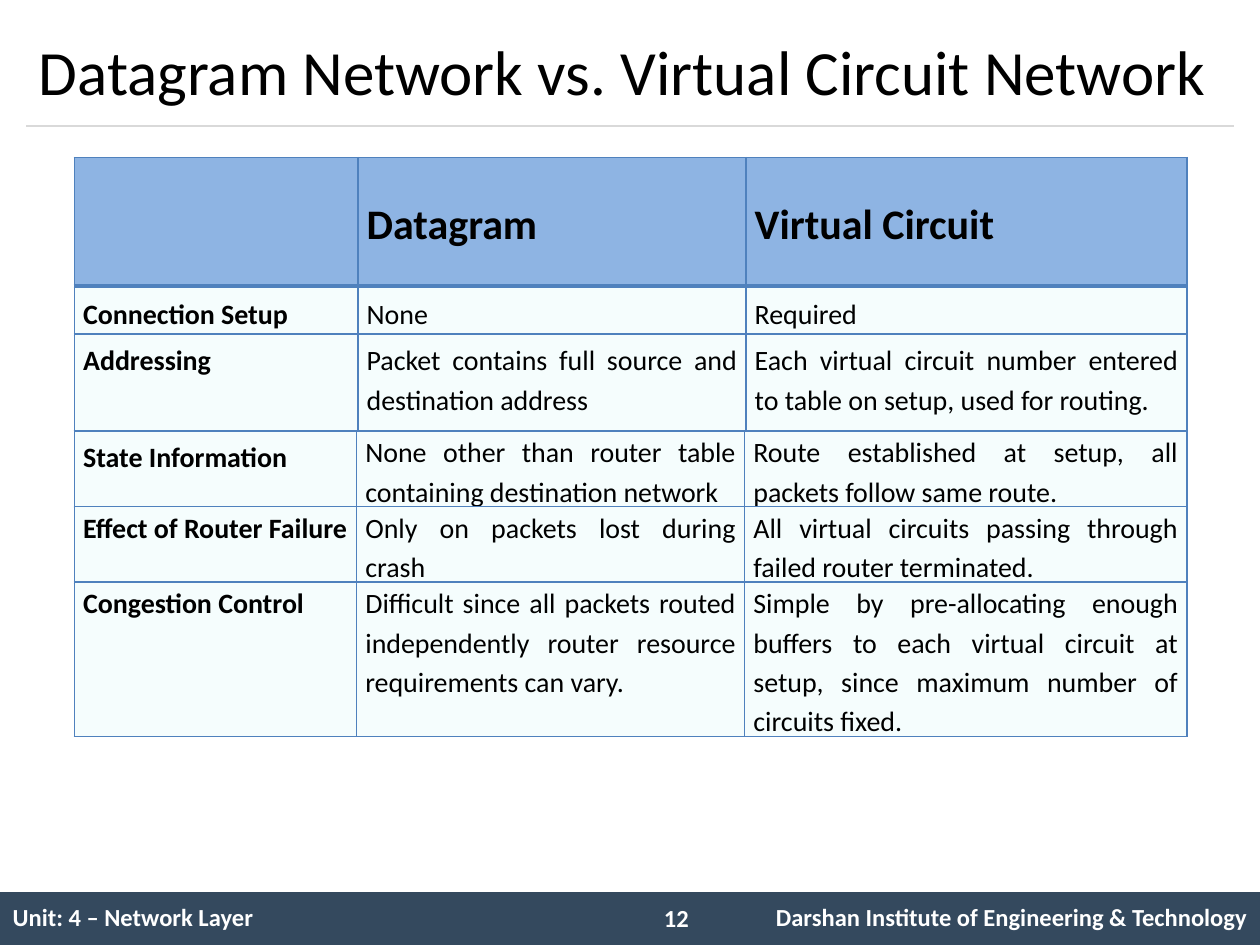
from dataclasses import dataclass

from lxml import etree
from pptx import Presentation
from pptx import util as u
from pptx.dml.color import RGBColor
from pptx.enum import shapes, text
from pptx.oxml.ns import qn

PX = 9144  # 100 px to the inch


@dataclass(frozen=True)
class Theme:
    font: str = "Calibri"
    ink: str = "000000"
    paper: str = "FFFFFF"
    bar: str = "34495E"
    rule: str = "D9D9D9"
    border: str = "4F81BD"
    header: str = "8EB4E3"
    body: str = "F5FDFD"
    title_pt: int = 36
    header_pt: int = 24
    body_pt: int = 16
    footer_pt: int = 14


T = Theme()
LEFT, JUSTIFY, RIGHT = text.PP_ALIGN.LEFT, text.PP_ALIGN.JUSTIFY, text.PP_ALIGN.RIGHT
MIDDLE, TOP = text.MSO_ANCHOR.MIDDLE, text.MSO_ANCHOR.TOP

HEADINGS = ["", "Datagram", "Virtual Circuit"]
# top, height, first column, alignment, vertical insets of label and details, texts
ROWS = [
    (228, 37, 225, LEFT, 4, 4,
     ["Connection Setup", "None", "Required"]),
    (265, 77, 225, JUSTIFY, 4, 4,
     ["Addressing",
      "Packet contains full source and destination address",
      "Each virtual circuit number entered to table on setup, used for routing."]),
    (342, 60, 224, JUSTIFY, 4, 0,
     ["State Information",
      "None other than router table containing destination network",
      "Route established at setup, all packets follow same route."]),
    (402, 60, 224, JUSTIFY, 0, 0,
     ["Effect of Router Failure",
      "Only on packets lost during crash",
      "All virtual circuits passing through failed router terminated."]),
    (462, 121, 224, JUSTIFY, 0, 0,
     ["Congestion Control",
      "Difficult since all packets routed independently router resource "
      "requirements can vary.",
      "Simple by pre-allocating enough buffers to each virtual circuit at setup, "
      "since maximum number of circuits fixed."]),
]


def px(*lengths):
    return [u.Emu(n * PX) for n in lengths]


def rgb(value):
    return RGBColor.from_string(value)


def write(tf, words, size, color, bold=False, align=LEFT, spacing=None):
    p = tf.paragraphs[0]
    p.text = words
    p.alignment = align
    p.line_spacing = spacing
    p.font.name, p.font.size, p.font.bold = T.font, u.Pt(size), bold
    p.font.color.rgb = rgb(color)


def add_text(slide, box, words, size, color, bold=False, wrap=True, anchor=TOP):
    tf = slide.shapes.add_textbox(*px(*box)).text_frame
    tf.word_wrap = wrap
    tf.vertical_anchor = anchor
    write(tf, words, size, color, bold)


def set_borders(cell, color=None, bottom=1):
    """Line all four sides of a cell, or clear them when no colour is given."""
    tcPr = cell._tc.get_or_add_tcPr()
    for side, width in zip("LRTB", (1, 1, 1, bottom)):
        ln = etree.SubElement(tcPr, qn(f"a:ln{side}"), w=str(u.Pt(width)))
        if color:
            fill = etree.SubElement(ln, qn("a:solidFill"))
            etree.SubElement(fill, qn("a:srgbClr"), val=color)
        else:
            etree.SubElement(ln, qn("a:noFill"))


def add_row(slide, box, widths):
    """Add an unstyled table of one row and return its cells."""
    table = slide.shapes.add_table(1, len(widths), *px(*box)).table
    table.first_row = table.horz_banding = False
    for column, width in zip(table.columns, px(*widths)):
        column.width = width
    return list(table.rows[0].cells)


def add_title(slide, box):
    left, top, width, height = box
    add_text(slide, box, "Datagram Network vs. Virtual Circuit Network",
             T.title_pt, T.ink, anchor=MIDDLE)
    bottom = top + height
    rule = slide.shapes.add_connector(
        shapes.MSO_CONNECTOR.STRAIGHT, *px(left, bottom, left + width, bottom))
    rule.line.color.rgb = rgb(T.rule)
    rule.line.width = u.Pt(0.75)
    etree.SubElement(rule._element.spPr, qn("a:effectLst"))


def add_footer(slide, box):
    left, top, width, height = box
    bar = slide.shapes.add_shape(shapes.MSO_SHAPE.RECTANGLE, *px(*box))
    bar.shadow.inherit = False
    bar.fill.solid()
    bar.fill.fore_color.rgb = rgb(T.bar)
    bar.line.fill.background()

    cells = add_row(slide, box, (508, 67, width - 575))
    labels = ["Unit: 4 – Network Layer", "",
              "Darshan Institute of Engineering & Technology"]
    for cell, label, align in zip(cells, labels, (LEFT, LEFT, RIGHT)):
        set_borders(cell)
        cell.fill.background()
        cell.vertical_anchor = MIDDLE
        write(cell.text_frame, label, T.footer_pt, T.paper, True, align)
    add_text(slide, (left + 517, top + 4, 58, 34), "12",
             T.footer_pt, T.paper, bold=True, wrap=False)


def fill_cell(cell, words, fill, inset, size, bold, align, anchor, bottom=1):
    set_borders(cell, T.border, bottom)
    cell.fill.solid()
    cell.fill.fore_color.rgb = rgb(fill)
    cell.margin_left, cell.margin_right = px(7, 7)
    cell.margin_top, cell.margin_bottom = px(inset, inset)
    cell.vertical_anchor = anchor
    write(cell.text_frame, words, size, T.ink, bold, align, 1.15)


def add_comparison(slide, box):
    """Stack one table per row, since the column edges differ between rows."""
    left, top, width, header_height = box
    cells = add_row(slide, box, (225, 308, width - 533))
    for cell, words in zip(cells, HEADINGS):
        fill_cell(cell, words, T.header, 4, T.header_pt, True, LEFT, MIDDLE, bottom=2)

    for row_top, height, first, align, label_inset, detail_inset, words in ROWS:
        cells = add_row(slide, (left, top + row_top - 125, width, height),
                        (first, 308, width - first - 308))
        for i, cell in enumerate(cells):
            inset = detail_inset if i else label_inset
            fill_cell(cell, words[i], T.body, inset, T.body_pt, i == 0, align, TOP)


def main():
    prs = Presentation()
    prs.slide_width, prs.slide_height = px(1000, 750)
    slide = prs.slides.add_slide(prs.slide_layouts[6])
    add_footer(slide, (0, 708, 1000, 42))
    add_title(slide, (21, 12, 958, 88))
    add_comparison(slide, (59, 125, 883, 102))
    prs.save("out.pptx")


if __name__ == "__main__":
    main()
